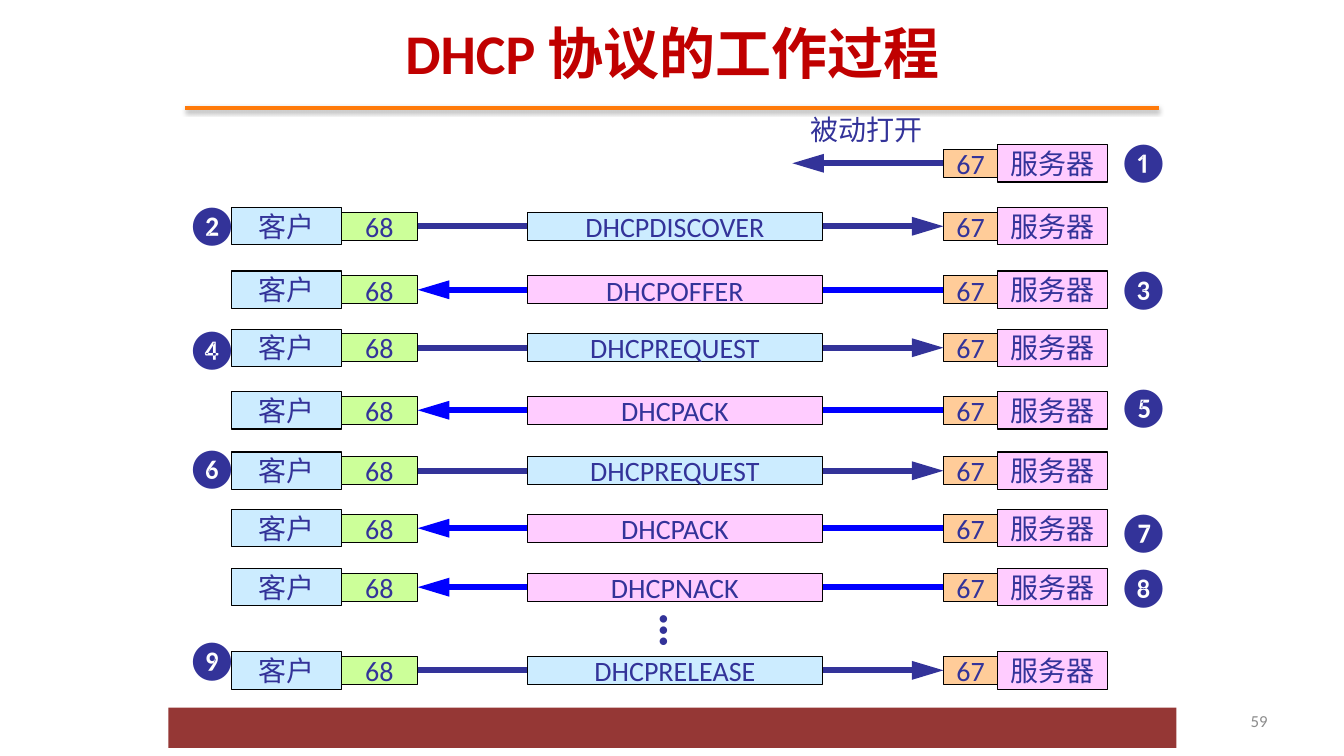
from dataclasses import dataclass
from typing import Optional

from lxml.etree import SubElement
from pptx import Presentation
from pptx.dml.color import RGBColor
from pptx.enum.shapes import MSO_CONNECTOR as CONN, MSO_SHAPE as SHAPE
from pptx.enum.text import MSO_ANCHOR as ANCHOR, MSO_AUTO_SIZE as FIT, PP_ALIGN as ALIGN
from pptx.oxml.ns import qn
from pptx.util import Emu, Inches, Pt


@dataclass(frozen=True)
class Theme:
    font: str = "Calibri"
    ink: str = "333399"
    reply: str = "0000FF"
    sky: str = "CCECFF"
    pink: str = "FFCCFF"
    peach: str = "FFCC99"
    lime: str = "CCFF99"
    border: str = "000000"
    title: str = "C00000"
    rule: str = "FF7A0A"
    bar: str = "953735"
    number: str = "8C8C8C"
    title_size: int = 40
    dots_size: int = 36
    badge_size: int = 28
    label_size: int = 20
    number_size: int = 12


@dataclass(frozen=True)
class Column:
    """Left edge, width and height as percentages of the slide."""
    x: float
    w: float
    h: float
    fill: str


@dataclass(frozen=True)
class Step:
    """One exchange; y and badge_y are centres in percent of the height."""
    y: float
    badge: str
    badge_y: float
    message: Optional[str] = None
    from_client: bool = False


T = Theme()
CLIENT = Column(17.25, 8.13, 4.96, T.sky)
CLIENT_PORT = Column(25.38, 5.7, 3.73, T.lime)
MESSAGE = Column(39.23, 21.98, 3.73, T.sky)
SERVER_PORT = Column(70.2, 4.05, 3.73, T.peach)
SERVER = Column(74.25, 8.18, 4.96, T.pink)
BADGE_LEFT, BADGE_RIGHT = 13.12, 82.43
BADGE_W, BADGE_H = 4.13, 7.6

STEPS = [
    Step(21.6, "❶", 21.27),
    Step(29.93, "❷", 29.67, "DHCPDISCOVER", True),
    Step(38.33, "❸", 38.07, "DHCPOFFER"),
    Step(46, "❹", 46.07, "DHCPREQUEST", True),
    Step(54.27, "❺", 53.67, "DHCPACK"),
    Step(62.27, "❻", 61.8, "DHCPREQUEST", True),
    Step(69.87, "❼", 70.2, "DHCPACK"),
    Step(77.67, "❽", 77.53, "DHCPNACK"),
    Step(88.67, "❾", 87.13, "DHCPRELEASE", True),
]

prs = Presentation()
prs.slide_width, prs.slide_height = Inches(13.33), Inches(7.5)
s = prs.slides.add_slide(prs.slide_layouts[5])


def across(share: float) -> Emu:
    return Emu(round(prs.slide_width * share / 100))


def down(share: float) -> Emu:
    return Emu(round(prs.slide_height * share / 100))


def frame(x: float, y: float, w: float, h: float) -> tuple[Emu, Emu, Emu, Emu]:
    return across(x), down(y), across(w), down(h)


def write(tf, text: str, size: int, color: str, align=ALIGN.LEFT, bold: bool = False) -> None:
    p = tf.paragraphs[0]
    p.alignment = align
    r = p.add_run()
    r.text = text
    r.font.name, r.font.size, r.font.bold = T.font, Pt(size), bold
    r.font.color.rgb = RGBColor.from_string(color)


def add_box(col: Column, y: float, text: str, fill: Optional[str] = None):
    sp = s.shapes.add_shape(SHAPE.RECTANGLE, *frame(col.x, y - col.h / 2, col.w, col.h))
    sp.shadow.inherit = False
    sp.fill.solid()
    sp.fill.fore_color.rgb = RGBColor.from_string(fill or col.fill)
    sp.line.color.rgb = RGBColor.from_string(T.border)
    sp.line.width = Pt(0.75)
    tf = sp.text_frame
    tf.word_wrap, tf.vertical_anchor = False, ANCHOR.MIDDLE
    write(tf, text, T.label_size, T.ink, ALIGN.CENTER)
    return sp


def add_label(box: tuple[Emu, Emu, Emu, Emu], text: str, size: int, bold: bool = False):
    sp = s.shapes.add_textbox(*box)
    sp.text_frame.word_wrap = False
    sp.text_frame.auto_size = FIT.SHAPE_TO_FIT_TEXT
    write(sp.text_frame, text, size, T.ink, bold=bold)
    return sp


def add_line(x1: float, x2: float, y: float, color: str, width: float):
    """Draw a level line and return it with its empty effect list."""
    line = s.shapes.add_connector(CONN.STRAIGHT, across(x1), down(y), across(x2), down(y))
    line.line.color.rgb = RGBColor.from_string(color)
    line.line.width = Pt(width)
    return line, SubElement(line.line._get_or_add_ln().getparent(), qn("a:effectLst"))


def add_arrow(x1: float, x2: float, y: float, color: str):
    arrow, _ = add_line(x1, x2, y, color, 4.5)
    SubElement(arrow.line._get_or_add_ln(), qn("a:tailEnd"), type="triangle", w="med", len="lg")
    return arrow


def draw_step(step: Step) -> None:
    server_port = add_box(SERVER_PORT, step.y, "67")
    add_box(SERVER, step.y, "服务器")
    if step.message is None:
        arrow = add_arrow(SERVER_PORT.x, 58.96, step.y, T.ink)
        arrow.begin_connect(server_port, 1)
    else:
        add_box(CLIENT, step.y, "客户")
        client_port = add_box(CLIENT_PORT, step.y, "68")
        ends = [(client_port, 3), (server_port, 1)]
        start, end = ends if step.from_client else ends[::-1]
        arrow = add_arrow(CLIENT_PORT.x, SERVER_PORT.x, step.y,
                          T.ink if step.from_client else T.reply)
        arrow.begin_connect(*start)
        arrow.end_connect(*end)
        add_box(MESSAGE, step.y, step.message, T.sky if step.from_client else T.pink)
    x = BADGE_LEFT if step.from_client else BADGE_RIGHT
    add_label(frame(x, step.badge_y - BADGE_H / 2, BADGE_W, BADGE_H), step.badge, T.badge_size)


def draw_title() -> None:
    title = s.shapes.title
    title.left, title.top, title.width, title.height = frame(16.28, 4, 67.52, 5.73)
    tf = title.text_frame
    tf.auto_size, tf.vertical_anchor = FIT.NONE, ANCHOR.MIDDLE
    write(tf, "DHCP 协议的工作过程", T.title_size, T.title, ALIGN.CENTER, True)
    _, effects = add_line(13.8, 86.2, 14.27, T.rule, 3)
    shadow = SubElement(effects, qn("a:outerShdw"), blurRad=str(Pt(3.1)), dist=str(Pt(1.8)),
                        dir="5400000", rotWithShape="0")
    black = SubElement(shadow, qn("a:srgbClr"), val="000000")
    SubElement(black, qn("a:alpha"), val="35000")


def draw_footer() -> None:
    bar = s.shapes.add_shape(SHAPE.RECTANGLE, *frame(12.53, 93.6, 75, 5.33))
    bar.shadow.inherit = False
    bar.fill.solid()
    bar.fill.fore_color.rgb = RGBColor.from_string(T.bar)
    bar.line.fill.background()
    number = s.shapes.add_textbox(*frame(71.72, 92.67, 23.33, 5.33)).text_frame
    number.word_wrap, number.vertical_anchor = True, ANCHOR.MIDDLE
    write(number, "59", T.number_size, T.number, ALIGN.RIGHT)


def main() -> None:
    draw_title()
    for step in STEPS:
        draw_step(step)
    add_label(frame(59.56, 14.27, 9.83, 5.73), "被动打开", T.label_size)
    dots = add_label(frame(46.06, 78.67, 4.2, 9.47), "…", T.dots_size, True)
    dots.rotation = 270
    draw_footer()
    prs.save("out.pptx")


if __name__ == "__main__":
    main()
